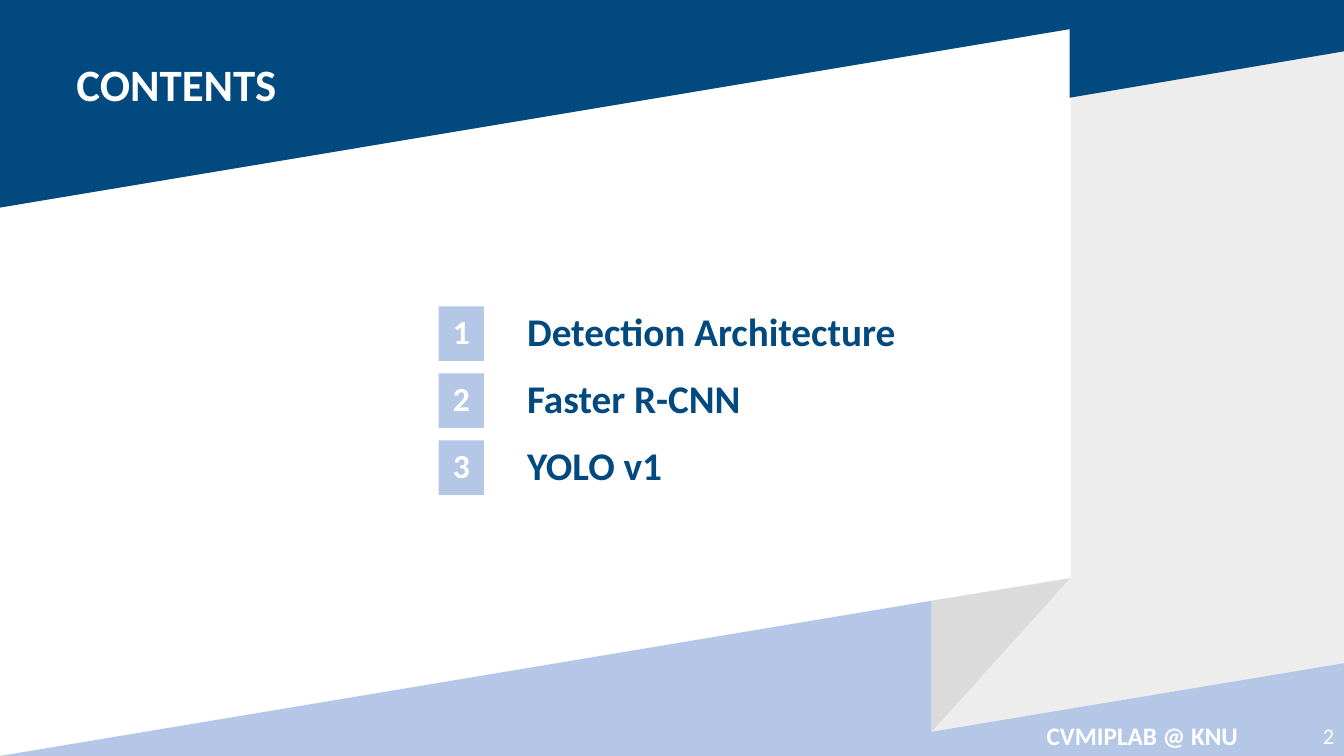
from pptx import Presentation
from pptx.dml.color import RGBColor
from pptx.enum.shapes import MSO_SHAPE
from pptx.enum.text import MSO_ANCHOR as ANCHOR, PP_ALIGN as ALIGN
from pptx.util import Inches, Pt

NAVY, PALE, WHITE = "02497F", "B4C7E7", "FFFFFF"


def paint(sp, color):
    sp.shadow.inherit = False
    sp.fill.solid()
    sp.fill.fore_color.rgb = RGBColor.from_string(color)
    sp.line.fill.background()


def write(sp, text, size, color=WHITE, bold=True, align=ALIGN.LEFT,
          anchor=ANCHOR.MIDDLE, wrap=True, spacing=None, before=None):
    tf = sp.text_frame
    tf.word_wrap = wrap
    tf.vertical_anchor = anchor
    p = tf.paragraphs[0]
    p.alignment = align
    if spacing:
        p.line_spacing = spacing
    if before:
        p.space_before = Pt(before)
    r = p.add_run()
    r.text = text
    r.font.name = "Calibri"
    r.font.size = Pt(size)
    r.font.bold = bold
    r.font.color.rgb = RGBColor.from_string(color)


prs = Presentation()
prs.slide_width, prs.slide_height = Inches(13.33), Inches(7.5)
s = prs.slides.add_slide(prs.slide_layouts[6])

# Slanted background: grey ribbon, top band, bottom band, ribbon fold
bands = [
    ("EDEDED", [(13.33, 0.51), (13.33, 6.58), (9.24, 7.26), (9.24, 5.96),
                (10.62, 5.73), (10.62, 0.96)]),
    (NAVY, [(0, 0), (13.33, 0), (13.33, 0.51), (10.61, 0.97),
            (10.61, 0.29), (0, 2.06)]),
    (PALE, [(9.24, 5.96), (9.24, 7.26), (13.33, 6.58), (13.33, 7.5),
            (0, 7.5)]),
    ("DBDBDB", [(10.61, 5.74), (9.24, 7.26), (9.24, 5.96)]),
]
for color, points in bands:
    start, *rest = [(Inches(x), Inches(y)) for x, y in points]
    fb = s.shapes.build_freeform(*start, scale=1.0)
    fb.add_line_segments(rest, close=True)
    paint(fb.convert_to_shape(), color)

# Title
title = s.shapes.add_textbox(Inches(0.66), Inches(0.51), Inches(2.21), Inches(0.64))
write(title, "CONTENTS", 32, anchor=ANCHOR.TOP, wrap=False)

# Footer and page number
footer = s.shapes.add_textbox(Inches(9.93), Inches(7.1), Inches(2.8), Inches(0.4))
write(footer, "CVMIPLAB @ KNU", 18, align=ALIGN.CENTER)
page = s.shapes.add_textbox(Inches(12.73), Inches(7.1), Inches(0.6), Inches(0.4))
write(page, "2", 16, bold=False, align=ALIGN.RIGHT)

# Numbered contents
topics = ["Detection Architecture", "Faster R-CNN", "YOLO v1"]
for i, topic in enumerate(topics):
    top = Inches(3.04 + 0.665 * i)
    box = s.shapes.add_shape(MSO_SHAPE.RECTANGLE, Inches(4.35), top,
                             Inches(0.45), Inches(0.54))
    paint(box, PALE)
    write(box, str(i + 1), 24, align=ALIGN.CENTER, spacing=0.9, before=10)
    label = s.shapes.add_textbox(Inches(5.13), top, Inches(5.6), Inches(0.54))
    write(label, topic, 28, color=NAVY, spacing=0.9, before=10)

prs.save("out.pptx")
